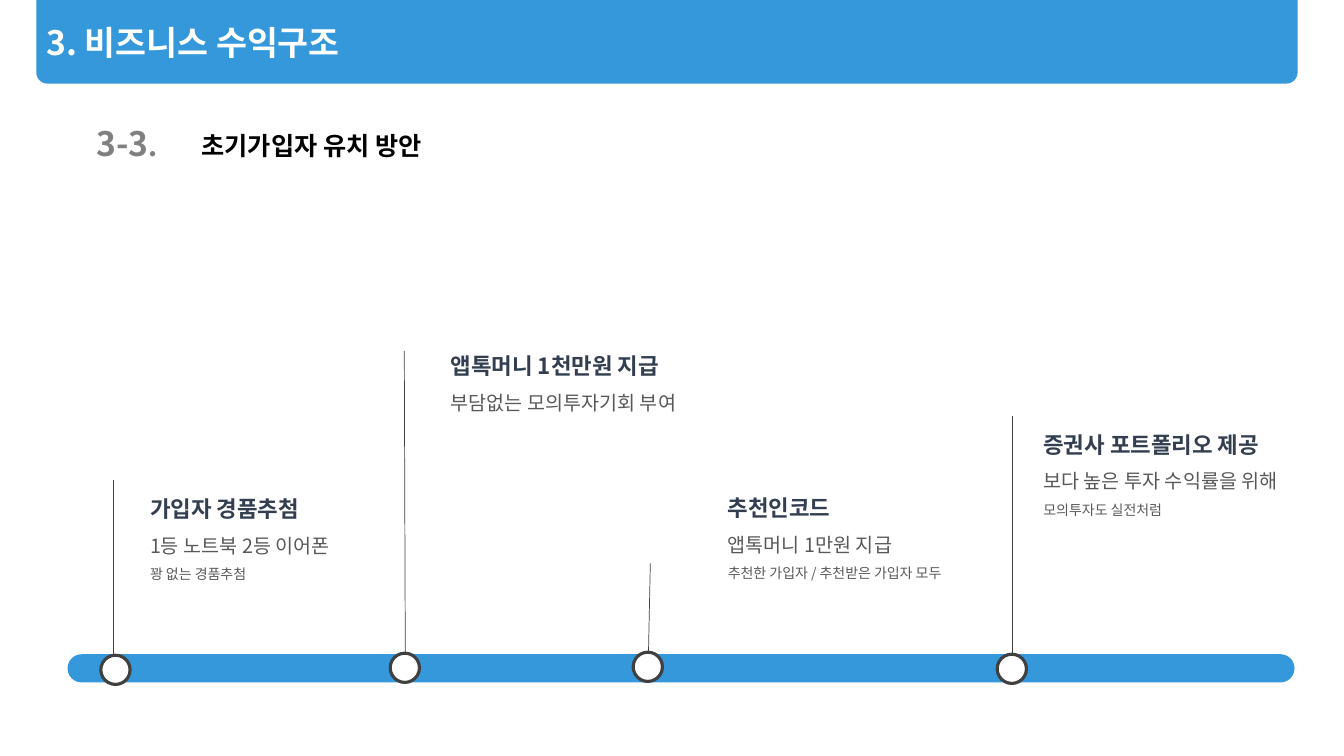
from lxml import etree
from pptx import Presentation
from pptx.dml.color import RGBColor
from pptx.enum import shapes, text
from pptx.oxml.ns import qn
from pptx.util import Inches, Pt

# Content
TITLE = "3. 비즈니스 수익구조"
SECTION_NUMBER = "3-3"
SECTION_NAME = "초기가입자 유치 방안"
# Each milestone: lines, text (left, top, width), stem (foot, head), dot (left, top)
MILESTONES = [
    (["가입자 경품추첨", "1등 노트북 2등 이어폰", "꽝 없는 경품추첨"],
     (1.39, 4.73, 2.77), ((1.12, 6.5), (1.12, 4.76)), (1, 6.5)),
    (["앱톡머니 1천만원 지급", "부담없는 모의투자기회 부여"],
     (4.37, 3.31, 2.77), ((4.02, 6.51), (4.01, 3.48)), (3.87, 6.48)),
    (["추천인코드", "앱톡머니 1만원 지급", "추천한 가입자 / 추천받은 가입자 모두"],
     (7.12, 4.72, 2.77), ((6.43, 6.56), (6.45, 5.59)), (6.28, 6.47)),
    (["증권사 포트폴리오 제공", "보다 높은 투자 수익률을 위해", "모의투자도 실전처럼"],
     (10.25, 4.09, 2.88), ((10.04, 6.53), (10.04, 4.13)), (9.89, 6.49)),
]

# Look
FONT = "Noto Sans CJK KR"
COLORS = {"blue": "3498DB", "white": "FFFFFF", "black": "000000", "number": "808080",
          "heading": "333F50", "detail": "595959", "line": "404040"}
LINE_STYLES = [dict(size=16, color="heading", bold=True),
               dict(size=14, color="detail"),
               dict(size=10, color="detail")]
BANNER = (0.36, 0, 12.51, 0.83)
TEXT_HEIGHT = 1.11
DOT_SIZE = 0.29

deck = Presentation()
deck.slide_width, deck.slide_height = Inches(13.33), Inches(7.5)
slide = deck.slides.add_slide(deck.slide_layouts[5])


def rgb(name):
    return RGBColor.from_string(COLORS[name])


def add_run(paragraph, words, size, color, bold=False):
    run = paragraph.add_run()
    run.text = words
    run.font.size, run.font.bold, run.font.name = Pt(size), bold, FONT
    run.font.color.rgb = rgb(color)
    east_asian = etree.SubElement(run.font._element, qn("a:ea"))
    east_asian.set("typeface", FONT)


def add_text_frame(left, top, width, height):
    box = slide.shapes.add_textbox(*map(Inches, (left, top, width, height)))
    box.text_frame.word_wrap = True
    return box.text_frame


def add_shape(kind, area, fill, line=None):
    shape = slide.shapes.add_shape(kind, *map(Inches, area))
    shape.shadow.inherit = False
    shape.fill.solid()
    shape.fill.fore_color.rgb = rgb(fill)
    if line:
        shape.line.color.rgb, shape.line.width = rgb(line), Pt(2.25)
    else:
        shape.line.fill.background()
    return shape


# Banner with the title on top of it
banner = add_shape(shapes.MSO_SHAPE.ROUND_2_SAME_RECTANGLE, BANNER, "blue")
banner.adjustments[0], banner.adjustments[1] = 0, 0.134
title = slide.shapes.title
title.left, title.top, title.width, title.height = map(Inches, BANNER)
banner.element.addnext(title.element)
title.text_frame.auto_size = text.MSO_AUTO_SIZE.NONE
title.text_frame.vertical_anchor = text.MSO_ANCHOR.MIDDLE
title_line = title.text_frame.paragraphs[0]
title_line.alignment = text.PP_ALIGN.LEFT
add_run(title_line, TITLE, 24, "white", bold=True)

# Section heading
number_line = add_text_frame(0.86, 1.17, 1.33, 0.5).paragraphs[0]
add_run(number_line, SECTION_NUMBER, 24, "number", bold=True)
add_run(number_line, ".", 20, "number", bold=True)
name_line = add_text_frame(1.9, 1.24, 7.75, 0.4).paragraphs[0]
add_run(name_line, SECTION_NAME, 18, "black", bold=True)

# Timeline bar
bar = add_shape(shapes.MSO_SHAPE.ROUNDED_RECTANGLE, (0.67, 6.49, 12.17, 0.28), "blue")
bar.adjustments[0] = 0.5

# Milestones: stem, dot and text
for lines, text_area, (foot, head), dot in MILESTONES:
    stem = slide.shapes.add_connector(shapes.MSO_CONNECTOR.STRAIGHT,
                                      *map(Inches, foot + head))
    stem.line.color.rgb, stem.line.width = rgb("line"), Pt(0.5)
    etree.SubElement(stem.element.spPr, qn("a:effectLst"))
    add_shape(shapes.MSO_SHAPE.OVAL, (*dot, DOT_SIZE, DOT_SIZE), "white", line="line")

    frame = add_text_frame(*text_area, TEXT_HEIGHT)
    for index, (words, style) in enumerate(zip(lines, LINE_STYLES)):
        paragraph = frame.add_paragraph() if index else frame.paragraphs[0]
        paragraph.line_spacing = 1.5
        add_run(paragraph, words, **style)

deck.save("out.pptx")
